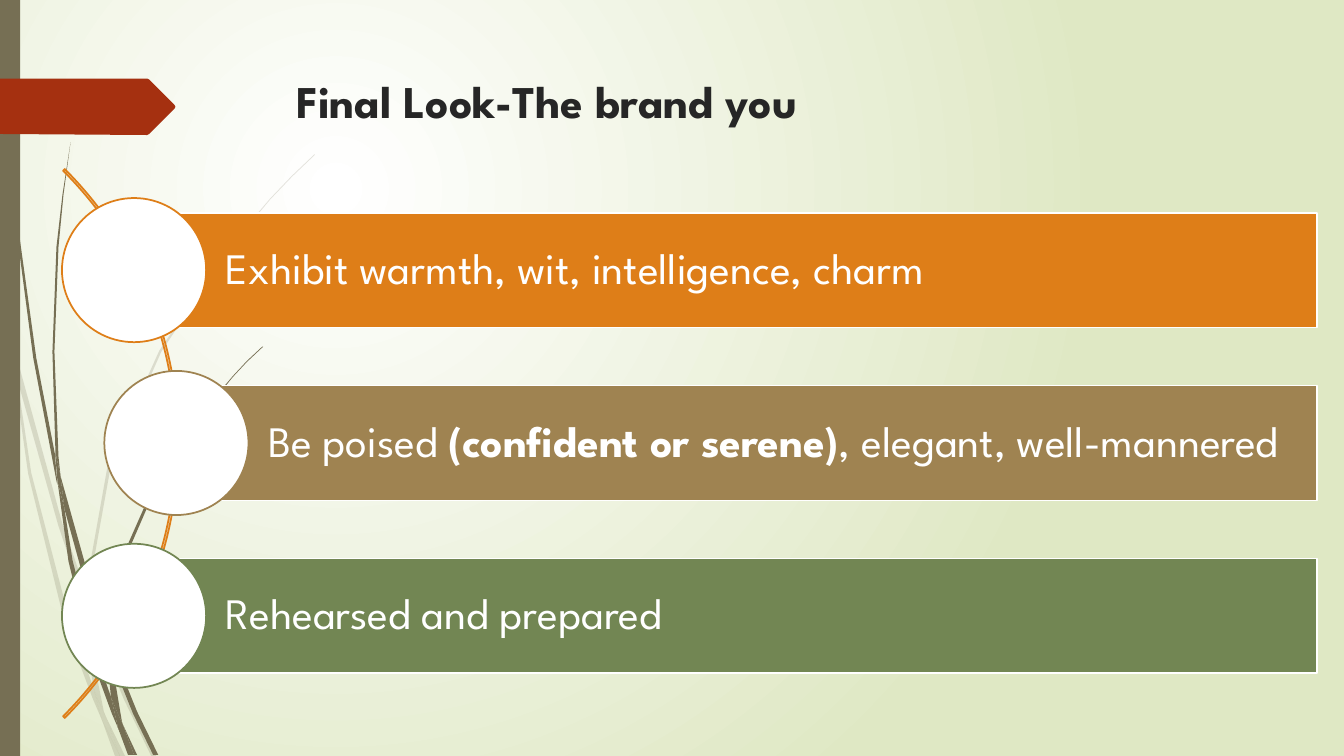
from dataclasses import dataclass

import pptx
import pptx.dml.color
import pptx.enum.shapes
import pptx.enum.text
import pptx.oxml
import pptx.oxml.ns
import pptx.util
from lxml import etree

Inches, Pt = pptx.util.Inches, pptx.util.Pt
RGBColor = pptx.dml.color.RGBColor
SHAPE = pptx.enum.shapes.MSO_SHAPE
ANCHOR = pptx.enum.text.MSO_ANCHOR
ALIGN = pptx.enum.text.PP_ALIGN
qn = pptx.oxml.ns.qn

WHITE = RGBColor(0xFF, 0xFF, 0xFF)
PALE = RGBColor(0xDF, 0xE8, 0xC4)
GRASS = RGBColor(0x76, 0x6F, 0x54)
RED = RGBColor(0xA5, 0x30, 0x10)
DARK = RGBColor(0x26, 0x26, 0x26)
ORANGE = RGBColor(0xDE, 0x7E, 0x18)
TAN = RGBColor(0x9F, 0x83, 0x51)
GREEN = RGBColor(0x72, 0x86, 0x53)

FONT = "League Spartan"
WIDTH, HEIGHT = 13.33, 7.5
BAR_TOP, BAR_STEP, BAR_TALL, BAR_END = 2.11, 1.715, 1.14, 13.06
DISC = 1.43

Points = list[tuple[float, float]]


@dataclass
class Row:
    left: float
    color: RGBColor
    runs: list[tuple[str, bool]]


ROWS = [
    Row(1.33, ORANGE, [("Exhibit warmth, wit, intelligence, charm", False)]),
    Row(1.75, TAN, [("Be poised ", False), ("(confident or serene)", True),
                    (", elegant, well-mannered", False)]),
    Row(1.33, GREEN, [("Rehearsed and prepared", False)]),
]

# Each blade of grass is made of thin pieces, given by their outlines.
FAINT: list[Points] = [
    [(0.11, 3.5), (0.09, 3.22), (0, 2.82), (0, 2.99), (0.1, 3.44)],
    [(0.58, 5.22), (0.84, 5.99), (0.85, 5.86), (0.62, 5.2), (0.14, 3.45), (0.17, 3.76)],
    [(0.92, 6.07), (0.88, 5.96), (0.88, 6.1), (1.23, 6.94), (1.5, 7.5), (1.55, 7.5), (1.27, 6.92)],
    [(1.19, 7.5), (1.24, 7.5), (1.05, 7.11)],
    [(0.93, 6.83), (0.7, 6.19), (0.31, 4.69), (0.17, 3.76), (0.11, 3.5), (0.28, 4.7), (0.65, 6.21),
     (0.92, 6.93), (1.01, 7.14), (0.99, 7.07)],
    [(0.84, 5.99), (0.87, 6.46), (0.93, 6.83), (0.96, 6.92), (1.05, 7.11), (1.03, 7.06), (0.91, 6.46),
     (0.88, 6.1), (0.88, 6.08)],
    [(0.88, 5.84), (1.1, 4.62), (1.6, 3.49), (2.29, 2.45), (2.68, 1.98), (2.9, 1.75), (3.12, 1.54),
     (3.12, 1.53), (2.89, 1.75), (2.68, 1.97), (2.28, 2.44), (1.58, 3.48), (1.07, 4.61), (0.85, 5.84),
     (0.85, 5.86), (0.88, 5.96)],
    [(1.01, 7.14), (1.14, 7.5), (1.19, 7.5)],
    [(0.88, 6.08), (0.88, 6.1), (0.88, 5.96), (0.85, 5.86), (0.84, 5.99)],
    [(0.96, 6.92), (0.93, 6.83), (0.99, 7.07), (1.01, 7.14), (1.19, 7.5), (1.05, 7.11)],
]
SOLID: list[Points] = [
    [(0.07, 1.1), (0.17, 2.33), (0.33, 3.55), (0.56, 4.77), (0.57, 4.81), (0.55, 4.57), (0.55, 4.53),
     (0.36, 3.55), (0.19, 2.32), (0.08, 1.09), (0.05, 0.48), (0.04, 0), (0.03, 0), (0.04, 0.48)],
    [(0.88, 5.92), (1.06, 6.45), (1.06, 6.31), (0.93, 5.9), (0.6, 4.72), (0.64, 5.05)],
    [(1.13, 6.49), (1.1, 6.41), (1.11, 6.56), (1.32, 7.08), (1.52, 7.49), (1.57, 7.49), (1.36, 7.06)],
    [(1.1, 6.91), (0.98, 6.57), (0.72, 5.56), (0.64, 5.05), (0.57, 4.77), (0.68, 5.57), (0.93, 6.59),
     (1.11, 7.08), (1.17, 7.22), (1.16, 7.17)],
    [(0.6, 4.72), (0.58, 4.53), (0.54, 3.49), (0.58, 2.45), (0.63, 1.93), (0.7, 1.41), (0.62, 1.93),
     (0.56, 2.45), (0.52, 3.49), (0.55, 4.49)],
    [(1.33, 7.49), (1.36, 7.49), (1.22, 7.19)],
    [(0.57, 4.77), (0.64, 5.05), (0.6, 4.72), (0.55, 4.49), (0.55, 4.53)],
    [(1.11, 6.33), (1.25, 5.52), (1.58, 4.76), (2.05, 4.06), (2.31, 3.74), (2.45, 3.59), (2.61, 3.44),
     (2.6, 3.44), (2.45, 3.58), (2.31, 3.73), (2.04, 4.05), (1.56, 4.74), (1.22, 5.51), (1.06, 6.31),
     (1.1, 6.41)],
    [(1.17, 7.22), (1.27, 7.49), (1.31, 7.49)],
    [(1.06, 6.45), (1.1, 6.91), (1.16, 7.06), (1.22, 7.19), (1.21, 7.16), (1.11, 6.56), (1.09, 6.51)],
    [(1.06, 6.45), (1.09, 6.51), (1.11, 6.56), (1.1, 6.41), (1.06, 6.31)],
    [(1.16, 7.06), (1.1, 6.91), (1.16, 7.17), (1.17, 7.22), (1.3, 7.49), (1.33, 7.49), (1.22, 7.19)],
]
TAG: Points = [(0, 0.78), (1.46, 0.78), (1.48, 0.79), (1.73, 1.04), (1.74, 1.06), (1.73, 1.08),
               (1.48, 1.33), (1.46, 1.34), (0, 1.33)]


def paint(shape, fill: RGBColor | None, line: RGBColor | None = None) -> None:
    shape.shadow.inherit = False
    if fill is None:
        shape.fill.background()
    else:
        shape.fill.solid()
        shape.fill.fore_color.rgb = fill
    if line is None:
        shape.line.fill.background()
    else:
        shape.line.color.rgb = line
        shape.line.width = Pt(1.25)


def add_form(slide, points: Points, fill: RGBColor, alpha: int = 100) -> None:
    """Draw a closed outline, alpha being its opacity in percent."""
    first, *rest = [(Inches(x), Inches(y)) for x, y in points]
    pen = slide.shapes.build_freeform(*first)
    pen.add_line_segments(rest, close=True)
    shape = pen.convert_to_shape()
    paint(shape, fill)
    if alpha < 100:
        color = shape.element.spPr.find(qn("a:solidFill")).find(qn("a:srgbClr"))
        etree.SubElement(color, qn("a:alpha")).set("val", str(alpha * 1000))


def add_shape(slide, kind, left: float, top: float, width: float, height: float):
    return slide.shapes.add_shape(kind, Inches(left), Inches(top), Inches(width), Inches(height))


def add_run(para, text: str, size: float, color: RGBColor, bold: bool) -> None:
    run = para.add_run()
    run.text = text
    run.font.name = FONT
    run.font.size = Pt(size)
    run.font.color.rgb = color
    run.font.bold = bold


def add_glow(slide) -> None:
    """Fill the background with a round gradient."""
    fill = slide.background.fill
    fill.gradient()
    for stop, color in zip(fill.gradient_stops, (WHITE, PALE)):
        stop.color.rgb = color
    grad = slide.element.find(".//" + qn("a:gradFill"))
    grad.remove(grad.find(qn("a:lin")))
    ring = etree.Element(qn("a:path"))
    ring.set("path", "circle")
    rect = etree.SubElement(ring, qn("a:fillToRect"))
    for side, share in zip("ltrb", (50, 50, 100, 100)):
        rect.set(side, str(share * 1000))
    grad.find(qn("a:gsLst")).addnext(ring)


def add_title(slide) -> None:
    box = slide.shapes.add_textbox(Inches(2.84), Inches(0.68), Inches(9.75), Inches(0.53))
    box.text_frame.word_wrap = True
    add_run(box.text_frame.paragraphs[0], "Final Look-The brand you", 32.4, DARK, True)


def add_arc(slide) -> None:
    arc = add_shape(slide, SHAPE.BLOCK_ARC, -5.93, 0.55, 7.7, 7.7)
    for index, value in enumerate((189, 27, 0.003)):
        arc.adjustments[index] = value
    paint(arc, None, ORANGE)


def add_row(slide, row: Row, top: float) -> None:
    bar = add_shape(slide, SHAPE.RECTANGLE, row.left, top, BAR_END - row.left, BAR_TALL)
    paint(bar, row.color, WHITE)
    frame = bar.text_frame
    frame.word_wrap = True
    frame.vertical_anchor = ANCHOR.MIDDLE
    frame.margin_left = Inches(0.91)
    frame.margin_right = frame.margin_top = frame.margin_bottom = Inches(0.09)
    para = frame.paragraphs[0]
    para.alignment = ALIGN.LEFT
    para.line_spacing = 0.9
    for text, bold in row.runs:
        add_run(para, text, 31, WHITE, bold)
    disc = add_shape(slide, SHAPE.OVAL, row.left - DISC / 2, top + (BAR_TALL - DISC) / 2, DISC, DISC)
    paint(disc, WHITE, row.color)


def main() -> None:
    deck = pptx.Presentation()
    deck.slide_width, deck.slide_height = Inches(WIDTH), Inches(HEIGHT)
    slide = deck.slides.add_slide(deck.slide_layouts[6])
    add_glow(slide)
    for points in FAINT:
        add_form(slide, points, GRASS, 20)
    for points in SOLID:
        add_form(slide, points, GRASS)
    paint(add_shape(slide, SHAPE.RECTANGLE, 0, 0, 0.2, HEIGHT), GRASS)
    add_form(slide, TAG, RED)
    add_title(slide)
    add_arc(slide)
    for index, row in enumerate(ROWS):
        add_row(slide, row, BAR_TOP + index * BAR_STEP)
    deck.save("out.pptx")


if __name__ == "__main__":
    main()
